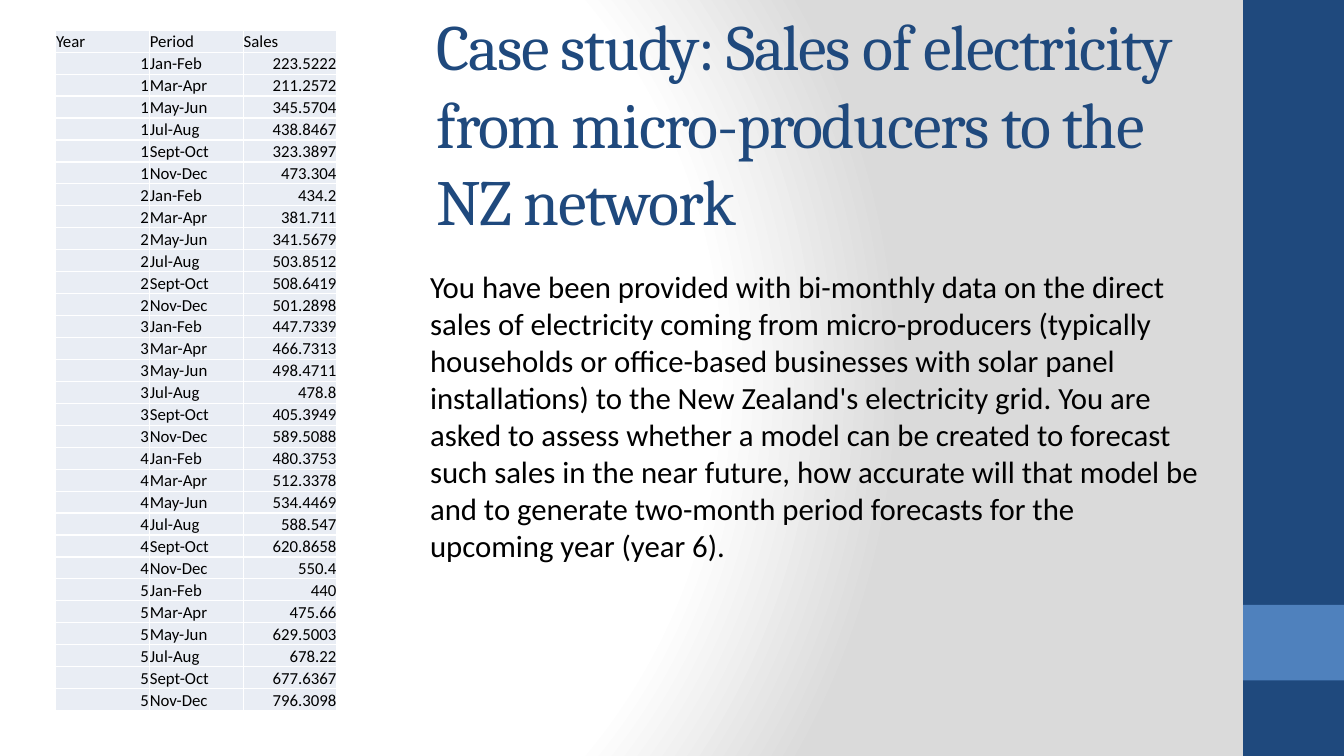
from pptx import Presentation
from pptx.dml.color import RGBColor
from pptx.enum.shapes import MSO_SHAPE as Shape
from pptx.enum.text import MSO_ANCHOR as Anchor, MSO_AUTO_SIZE as AutoSize, PP_ALIGN as Align
from pptx.oxml import parse_xml
from pptx.oxml.ns import nsdecls
from pptx.util import Inches, Pt

WIDTH, HEIGHT = Inches(13.33), Inches(7.5)
COLORS = {"navy": "1F497D", "blue": "4F81BD", "cell": "E9EDF4",
          "white": "FFFFFF", "grey": "DADADA", "black": "000000"}

TITLE = "Case study: Sales of electricity from micro-producers to the NZ network"
BODY = (
    "You have been provided with bi-monthly data on the direct sales of electricity "
    "coming from micro-producers (typically households or office-based businesses with "
    "solar panel installations) to the New Zealand's electricity grid. You are asked to "
    "assess whether a model can be created to forecast such sales in the near future, "
    "how accurate will that model be and to generate two-month period forecasts for the "
    "upcoming year (year 6)."
)
HEADERS = ["Year", "Period", "Sales"]
PERIODS = ["Jan-Feb", "Mar-Apr", "May-Jun", "Jul-Aug", "Sept-Oct", "Nov-Dec"]
SALES_BY_YEAR = [
    [223.5222, 211.2572, 345.5704, 438.8467, 323.3897, 473.304],
    [434.2, 381.711, 341.5679, 503.8512, 508.6419, 501.2898],
    [447.7339, 466.7313, 498.4711, 478.8, 405.3949, 589.5088],
    [480.3753, 512.3378, 534.4469, 588.547, 620.8658, 550.4],
    [440, 475.66, 629.5003, 678.22, 677.6367, 796.3098],
]


def color(name):
    return RGBColor.from_string(COLORS[name])


def area(left, top, width, height):
    """Turn percentages of the slide into a position and a size."""
    return (int(WIDTH * left / 100), int(HEIGHT * top / 100),
            int(WIDTH * width / 100), int(HEIGHT * height / 100))


def style_text(para, font, size, color_name):
    for span in para.runs:
        span.font.name = font
        span.font.size = Pt(size)
        span.font.color.rgb = color(color_name)


def set_background(page):
    stops = "".join(
        f'<a:gs pos="{share * 1000}"><a:srgbClr val="{COLORS[name]}"/></a:gs>'
        for share, name in [(0, "white"), (75, "white"), (100, "grey")])
    page.element.cSld.insert(0, parse_xml(
        f'<p:bg {nsdecls("p", "a")}><p:bgPr><a:gradFill rotWithShape="1">'
        f'<a:gsLst>{stops}</a:gsLst><a:path path="circle">'
        '<a:fillToRect l="20000" t="50000" r="100000" b="50000"/></a:path>'
        '</a:gradFill><a:effectLst/></p:bgPr></p:bg>'))


def add_band(page, position, color_name):
    band = page.shapes.add_shape(Shape.RECTANGLE, *area(*position))
    band.shadow.inherit = False
    band.fill.solid()
    band.fill.fore_color.rgb = color(color_name)
    band.line.fill.background()


def fill_placeholder(box, position, text, anchor, font, size, color_name):
    box.left, box.top, box.width, box.height = area(*position)
    frame = box.text_frame
    frame.text = text
    frame.word_wrap = True
    frame.auto_size = AutoSize.NONE
    frame.vertical_anchor = anchor
    para = frame.paragraphs[0]
    para.alignment = Align.LEFT
    style_text(para, font, size, color_name)
    return para


def remove_bullet(para, margin):
    properties = para._p.get_or_add_pPr()
    properties.set("marL", str(margin))
    properties.set("indent", "0")
    properties.append(parse_xml(f'<a:buNone {nsdecls("a")}/>'))


def format_cell(cell, text, align):
    cell.text = text
    cell.margin_left = cell.margin_right = cell.margin_top = Pt(0.4)
    cell.margin_bottom = 0
    cell.vertical_anchor = Anchor.BOTTOM
    cell.fill.solid()
    cell.fill.fore_color.rgb = color("cell")
    para = cell.text_frame.paragraphs[0]
    para.alignment = align
    style_text(para, "Calibri", 12, "black")
    # White borders come before the fill in the cell properties
    for index, side in enumerate("LRTB"):
        cell._tc.get_or_add_tcPr().insert(index, parse_xml(
            f'<a:ln{side} {nsdecls("a")} w="{Pt(1)}"><a:solidFill>'
            f'<a:srgbClr val="{COLORS["white"]}"/></a:solidFill></a:ln{side}>'))


def add_sales_table(page, position):
    records = [HEADERS] + [
        [str(year), period, str(amount)]
        for year, amounts in enumerate(SALES_BY_YEAR, 1)
        for period, amount in zip(PERIODS, amounts)]
    left, top, width, height = area(*position)
    table = page.shapes.add_table(
        len(records), len(HEADERS), left, top, width, height).table
    for row_index, record in enumerate(records):
        table.rows[row_index].height = height // len(records)
        for column, text in enumerate(record):
            is_number = row_index > 0 and HEADERS[column] != "Period"
            format_cell(table.cell(row_index, column), text,
                        Align.RIGHT if is_number else Align.LEFT)


def main():
    deck = Presentation()
    deck.slide_width, deck.slide_height = WIDTH, HEIGHT
    page = deck.slides.add_slide(deck.slide_layouts[1])

    # Background and right-hand bands
    set_background(page)
    add_band(page, (92.5, 0, 7.5, 100), "navy")
    add_band(page, (92.5, 80, 7.5, 10), "blue")

    # Title and description
    title = fill_placeholder(page.shapes.title, (31.73, 4, 59.79, 24.4), TITLE,
                             Anchor.MIDDLE, "Cambria", 46, "navy")
    title.runs[0].font._element.set("spc", "-100")
    description = fill_placeholder(page.placeholders[1], (30.31, 34.8, 59.94, 59.33),
                                   BODY, Anchor.TOP, "Calibri", 22, "black")
    remove_bullet(description, Pt(9))

    # Bi-monthly sales
    add_sales_table(page, (4.13, 4, 20.95, 90.13))
    deck.save("out.pptx")


if __name__ == "__main__":
    main()
